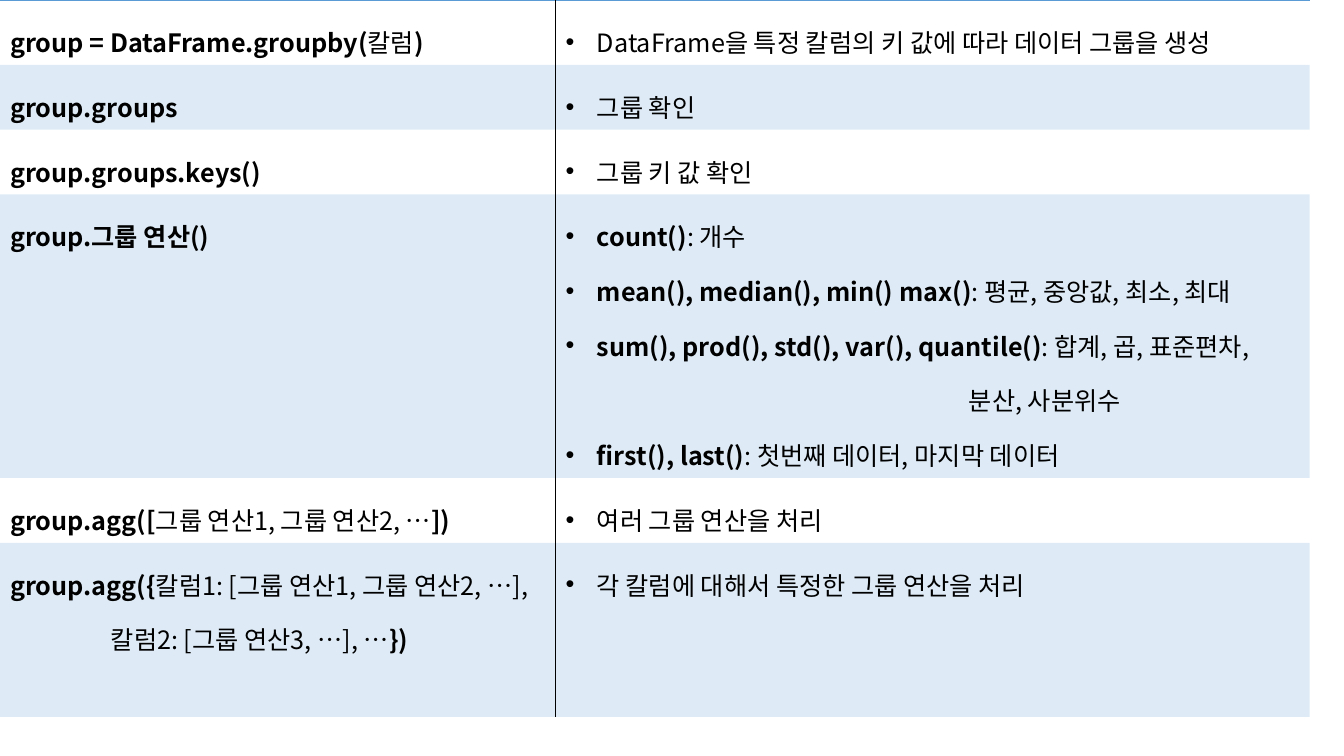
"""Build a slide with a reference table of DataFrame groupby calls."""
from dataclasses import dataclass

from pptx import Presentation
from pptx import util as u
from pptx.dml import color
from pptx.oxml import ns, xmlchemy

FONT = "Noto Sans CJK KR"
BLACK = "000000"
BLUE = "5B9BD5"
SLIDE_WIDTH, SLIDE_HEIGHT = u.Inches(13.33), u.Inches(7.5)
COLUMN_SHARES = (0.4134, 0.5611)
ROW_SHARE = 0.0547
HANGING = u.Inches(0.31)
BAND_OPACITY = "20000"
BOLD_MARK = "*"


@dataclass(frozen=True)
class Line:
    """A paragraph whose bold parts stand between bold marks."""
    markup: str
    level: int = 0
    bullet: bool = False


@dataclass(frozen=True)
class Entry:
    """A call and what it does."""
    call: tuple[Line, ...]
    meaning: tuple[Line, ...]


def point(markup: str) -> Line:
    """Return a bulleted line."""
    return Line(markup, bullet=True)


ENTRIES = (
    Entry((Line("*group = DataFrame.groupby(*칼럼*)*"),),
          (point("DataFrame을 특정 칼럼의 키 값에 따라 데이터 그룹을 생성"),)),
    Entry((Line("*group.groups*"),), (point("그룹 확인"),)),
    Entry((Line("*group.groups.keys()*"),), (point("그룹 키 값 확인"),)),
    Entry((Line("*group.그룹 연산()*"),),
          (point("*count()*: 개수"),
           point("*mean(), median(), min() max()*: 평균, 중앙값, 최소, 최대"),
           point("*sum(), prod(), std(), var(), quantile()*: 합계, 곱, 표준편차,"),
           Line("분산, 사분위수", level=8),
           point("*first(), last()*: 첫번째 데이터, 마지막 데이터"))),
    Entry((Line("*group.agg([*그룹 연산1, 그룹 연산2, …*])*"),),
          (point("여러 그룹 연산을 처리"),)),
    Entry((Line("*group.agg({*칼럼1: [그룹 연산1, 그룹 연산2, …],"),
           Line("칼럼2: [그룹 연산3, …], …*})*", level=2)),
          (point("각 칼럼에 대해서 특정한 그룹 연산을 처리"),)),
)


def rgb(code: str) -> color.RGBColor:
    """Turn a hex string into a colour."""
    return color.RGBColor.from_string(code)


def add_child(parent, tag: str, **attributes: str):
    """Append a DrawingML element and return it."""
    child = xmlchemy.OxmlElement(f"a:{tag}")
    for key, value in attributes.items():
        child.set(key, value)
    parent.append(child)
    return child


def write_line(paragraph, line: Line) -> None:
    """Write one line with its indent, bullet and bold parts."""
    paragraph.level = line.level
    paragraph.line_spacing = 1.5
    properties = paragraph._p.get_or_add_pPr()
    margin = HANGING if line.bullet else u.Inches(line.level / 2)
    properties.set("marL", str(margin))
    properties.set("indent", str(-HANGING if line.bullet else 0))
    if line.bullet:
        add_child(properties, "buFont", typeface="Arial")
        add_child(properties, "buChar", char="•")
    else:
        add_child(properties, "buNone")
    for index, words in enumerate(line.markup.split(BOLD_MARK)):
        if not words:
            continue
        run = paragraph.add_run()
        run.text = words
        run.font.size = u.Pt(18)
        run.font.bold = index % 2 == 1
        run.font.color.rgb = rgb(BLACK)
        run.font.name = FONT
        add_child(run._r.get_or_add_rPr(), "ea", typeface=FONT)


def set_borders(cell, colours: dict[str, str]) -> None:
    """Draw the sides that have a colour and clear the others."""
    properties = cell._tc.get_or_add_tcPr()
    for side in "LRTB":
        border = add_child(properties, f"ln{side}", w=str(u.Pt(1)))
        if side in colours:
            fill = add_child(border, "solidFill")
            add_child(fill, "srgbClr", val=colours[side])
        else:
            add_child(border, "noFill")


def set_band(cell, shaded: bool) -> None:
    """Fill the cell with a pale blue or leave it clear."""
    if not shaded:
        cell.fill.background()
        return
    cell.fill.solid()
    cell.fill.fore_color.rgb = rgb(BLUE)
    tint = cell._tc.tcPr.find(ns.qn("a:solidFill")).find(ns.qn("a:srgbClr"))
    add_child(tint, "alpha", val=BAND_OPACITY)


def write_cell(cell, lines: tuple[Line, ...], row: int, column: int) -> None:
    """Fill one cell with its lines, borders and band."""
    frame = cell.text_frame
    for index, line in enumerate(lines):
        write_line(frame.add_paragraph() if index else frame.paragraphs[0], line)
    colours = {"L" if column else "R": BLACK}
    if row == 0:
        colours["T"] = BLUE
    set_borders(cell, colours)
    set_band(cell, row % 2 == 1)


def add_reference(slide) -> None:
    """Add the table of calls and meanings."""
    row_height = round(SLIDE_HEIGHT * ROW_SHARE)
    reference = slide.shapes.add_table(
        len(ENTRIES), len(COLUMN_SHARES), 0, 0,
        round(SLIDE_WIDTH * sum(COLUMN_SHARES)), row_height * len(ENTRIES)).table
    reference.first_row = reference.horz_banding = False
    for column, share in zip(reference.columns, COLUMN_SHARES):
        column.width = round(SLIDE_WIDTH * share)
    for row, entry in enumerate(ENTRIES):
        for column, lines in enumerate((entry.call, entry.meaning)):
            write_cell(reference.cell(row, column), lines, row, column)


def main() -> None:
    """Create and save the presentation."""
    deck = Presentation()
    deck.slide_width, deck.slide_height = SLIDE_WIDTH, SLIDE_HEIGHT
    add_reference(deck.slides.add_slide(deck.slide_layouts[6]))
    deck.save("out.pptx")


if __name__ == "__main__":
    main()
